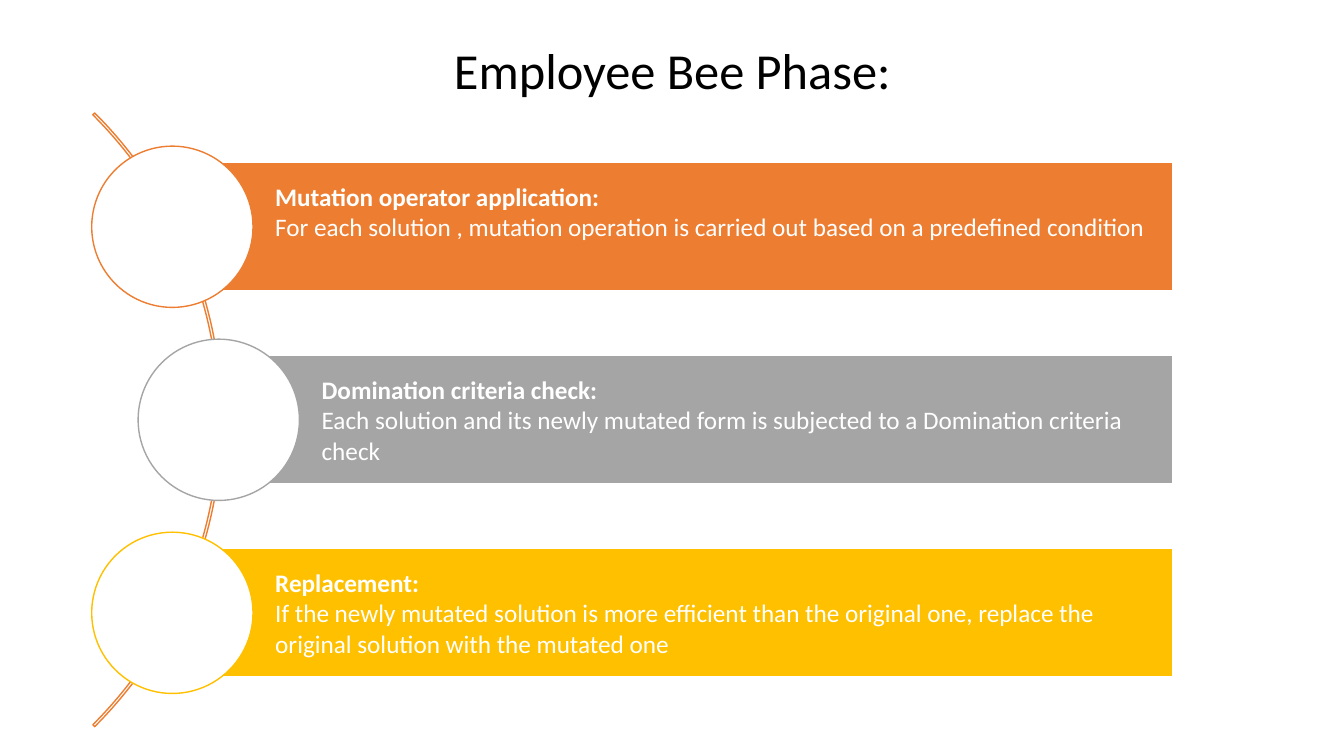
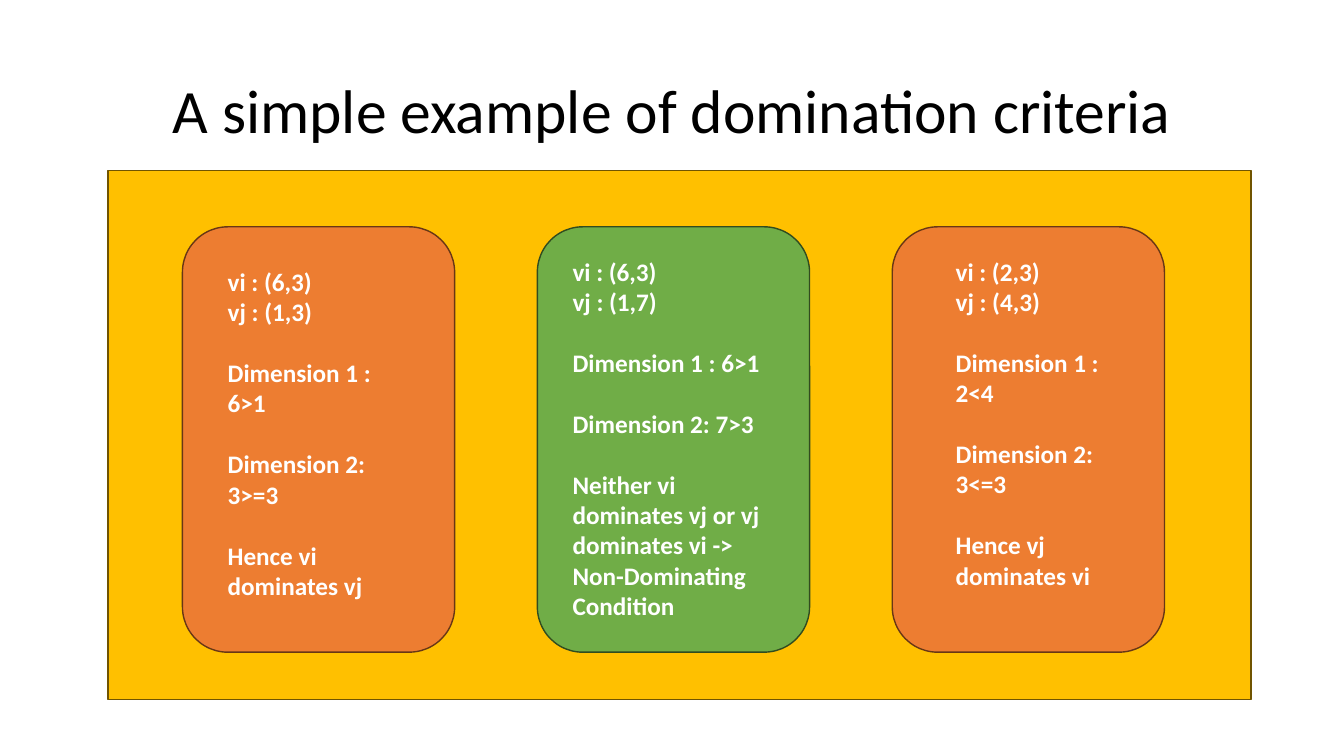
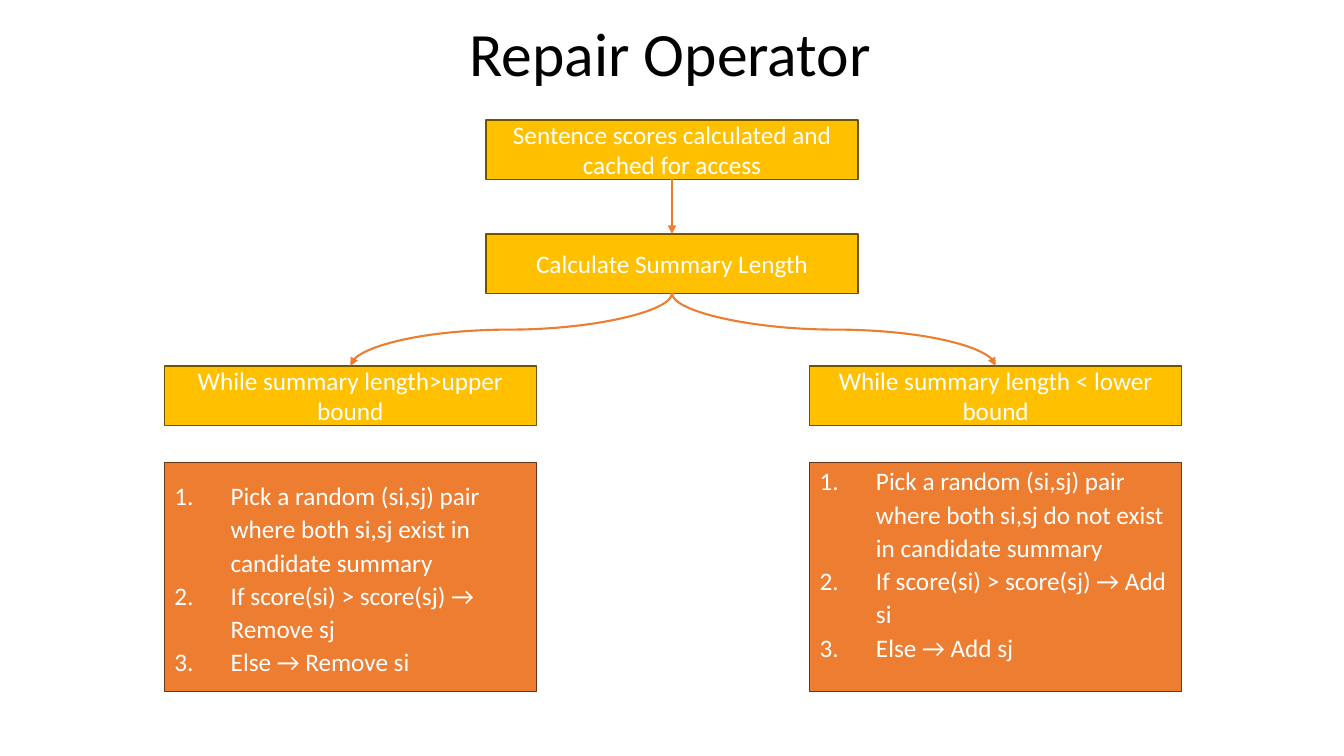
"""Build three slides on the bee phase, domination and the repair operator."""
import pptx
import pptx.dml.color
import pptx.enum.shapes
import pptx.enum.text
import pptx.oxml.ns
import pptx.util
from lxml import etree

Inches = pptx.util.Inches
Pt = pptx.util.Pt
KIND = pptx.enum.shapes.MSO_SHAPE
LINK = pptx.enum.shapes.MSO_CONNECTOR
ALIGN = pptx.enum.text.PP_ALIGN
ANCHOR = pptx.enum.text.MSO_ANCHOR
qn = pptx.oxml.ns.qn

HUES = {
    "ink": "000000", "white": "FFFFFF", "gray": "A5A5A5",
    "orange": "ED7D31", "rust": "683715",
    "gold": "FFC000", "bronze": "705400",
    "green": "70AD47", "moss": "314C1F",
}
TITLE = {"size": 44, "hue": "ink"}
BODY = {"size": 18, "hue": "white"}
BOLD = {**BODY, "bold": True}
MID = {"alignment": ALIGN.CENTER}
TIGHT = {**MID, "line_spacing": 0.9}
LOOSE = {"line_spacing": 1.1, "alignment": ALIGN.LEFT}
LEFT = {"alignment": ALIGN.LEFT}
APART = {**LEFT, "space_before": Pt(22)}


def color(name):
    return pptx.dml.color.RGBColor.from_string(HUES[name])


def apply(thing, form):
    for key, value in form.items():
        setattr(thing, key, value)


def write(shape, lines, anchor=ANCHOR.MIDDLE, inset=(0.1, 0.05, 0.1, 0.05)):
    frame = shape.text_frame
    sides = ("margin_left", "margin_top", "margin_right", "margin_bottom")
    apply(frame, {"word_wrap": True, "vertical_anchor": anchor})
    apply(frame, {side: Inches(gap) for side, gap in zip(sides, inset)})
    for rank, (text, look, form) in enumerate(lines):
        para = frame.add_paragraph() if rank else frame.paragraphs[0]
        apply(para, form)
        run = para.add_run()
        run.text = text
        apply(run.font, {"name": "Calibri", "size": Pt(look["size"]),
                         "bold": look.get("bold", False)})
        run.font.color.rgb = color(look["hue"])


def add_text(slide, box, lines, **more):
    shape = slide.shapes.add_textbox(*map(Inches, box))
    write(shape, lines, **more)


def add_title(slide, text, left, top, size=44):
    add_text(slide, (left, top, 11.5, 1.45),
             [(text, {**TITLE, "size": size}, TIGHT)])


def add_box(slide, kind, box, fill, edge, width=1):
    shape = slide.shapes.add_shape(kind, *map(Inches, box))
    shape.shadow.inherit = False
    if fill:
        shape.fill.solid()
        shape.fill.fore_color.rgb = color(fill)
    else:
        shape.fill.background()
    shape.line.color.rgb = color(edge)
    shape.line.width = Pt(width)
    return shape


def add_arrow(slide, start, end):
    (x1, y1), (x2, y2) = start, end
    if x1 == x2:
        link = slide.shapes.add_connector(
            LINK.STRAIGHT, *map(Inches, (x1, y1, x2, y2)))
    else:
        side = 1 if x2 < x1 else -1
        mid_x, mid_y = (x1 + x2) / 2, (y1 + y2) / 2
        half_w, half_h = side * (y2 - y1) / 2, abs(x2 - x1) / 2
        link = slide.shapes.add_connector(LINK.CURVE, *map(Inches, (
            mid_x - half_w, mid_y - half_h, mid_x + half_w, mid_y + half_h)))
        turn = 90 if side > 0 else 270
        link._element.spPr.find(qn("a:xfrm")).set("rot", str(turn * 60000))
    link.line.color.rgb = color("orange")
    link.line.width = Pt(1.5)
    etree.SubElement(link.line._get_or_add_ln(), qn("a:tailEnd"), type="triangle")
    etree.SubElement(link._element.spPr, qn("a:effectLst"))


def add_list(slide, box, items, **more):
    shape = add_box(slide, KIND.RECTANGLE, box, "orange", "rust")
    write(shape, [(item, BODY, LOOSE) for item in items], **more)
    for para in shape.text_frame.paragraphs:
        props = para._p.get_or_add_pPr()
        apply_dent = {"marL": Inches(0.56), "indent": -Inches(0.56)}
        for key, value in apply_dent.items():
            props.set(key, str(value))
        etree.SubElement(props, qn("a:buAutoNum"), type="arabicPeriod")


def add_band(slide, left, top, hue, head, body, foot):
    right, ring = 11.64, 1.6
    band = add_box(slide, KIND.RECTANGLE, (left, top, right - left, 1.28),
                   hue, "white", 1.5)
    write(band, [(head, BOLD, LEFT), (body, BODY, LEFT)],
          inset=(1.02, 0.05, 0.05, foot))
    add_box(slide, KIND.OVAL, (left - ring / 2, top - 0.16, ring, ring),
            "white", hue)


def add_card(slide, left, hues, box, lines):
    add_box(slide, KIND.ROUNDED_RECTANGLE, (left, 2.25, 2.7, 4.22), *hues)
    first, second, *rest = lines
    rows = [(first, BOLD, LEFT), (second, BOLD, LEFT)]
    rows += [(line, BOLD, APART) for line in rest]
    add_text(slide, box, rows, anchor=ANCHOR.TOP)


def show_phase(slide):
    add_title(slide, "Employee Bee Phase:", 0.92, 0, 36)
    arc = add_box(slide, KIND.BLOCK_ARC, (-6.41, -0.14, 8.61, 8.61),
                  None, "orange")
    for rank, value in enumerate((189, 27, 0.003)):
        arc.adjustments[rank] = value
    bands = [
        (1.71, "orange", "Mutation operator application:",
         "For each solution , mutation operation is carried out based on a "
         "predefined condition", 0.35),
        (2.17, "gray", "Domination criteria check:",
         "Each solution and its newly mutated form is subjected to a "
         "Domination criteria check", 0.05),
        (1.71, "gold", "Replacement:",
         "If the newly mutated solution is more efficient than the original "
         "one, replace the original solution with the mutated one", 0.05),
    ]
    top, last = 1.61, 5.44
    for rank, (left, *rest) in enumerate(bands):
        add_band(slide, left, top + rank * (last - top) / 2, *rest)


def show_sample(slide):
    add_title(slide, "A simple example of domination criteria", 0.92, 0.4)
    add_box(slide, KIND.RECTANGLE, (1.07, 1.69, 11.34, 5.25), "gold", "bronze")
    cards = [
        (("orange", "rust"), (2.16, 2.59, 1.66, 3.43),
         ["vi : (6,3)", "vj : (1,3)", "Dimension 1 : 6>1",
          "Dimension 2: 3>=3", "Hence vi dominates vj"]),
        (("green", "moss"), (5.58, 2.49, 2.21, 3.74),
         ["vi : (6,3)", "vj : (1,7)", "Dimension 1 : 6>1",
          "Dimension 2: 7>3", "Neither vi dominates vj or vj dominates vi -> "
          "Non-Dominating Condition"]),
        (("orange", "rust"), (9.38, 2.49, 1.66, 3.43),
         ["vi : (2,3)", "vj : (4,3)", "Dimension 1 : 2<4",
          "Dimension 2: 3<=3", "Hence vj dominates vi"]),
    ]
    for rank, card in enumerate(cards):
        add_card(slide, 1.81 + rank * 3.52, *card)


def show_repair(slide):
    add_title(slide, "Repair Operator", 0.9, -0.16)
    wide, high = 3.69, 0.59
    west, core, east = 1.63, 4.82, 8.03
    steps = [
        (core, 1.19, "Sentence scores calculated and cached for access"),
        (core, 2.32, "Calculate Summary Length"),
        (west, 3.63, "While summary length>upper bound"),
        (east, 3.63, "While summary length < lower bound"),
    ]
    for left, top, text in steps:
        step = add_box(slide, KIND.RECTANGLE, (left, top, wide, high),
                       "gold", "bronze")
        write(step, [(text, BODY, MID)])
    for source, goal in ((0, 1), (1, 2), (1, 3)):
        (x1, y1, _), (x2, y2, _) = steps[source], steps[goal]
        add_arrow(slide, (x1 + wide / 2, y1 + high), (x2 + wide / 2, y2))
    add_list(slide, (west, 4.59, wide, 2.27), [
        "Pick a random (si,sj) pair where both si,sj exist in candidate summary",
        "If score(si) > score(sj) → Remove sj",
        "Else → Remove si"])
    add_list(slide, (east, 4.59, wide, 2.27), [
        "Pick a random (si,sj) pair where both si,sj do not exist in "
        "candidate summary",
        "If score(si) > score(sj) → Add si",
        "Else → Add sj"], anchor=ANCHOR.TOP, inset=(0.1, 0, 0.1, 0.05))


def main():
    deck = pptx.Presentation()
    apply(deck, {"slide_width": Inches(13.33), "slide_height": Inches(7.5)})
    for show in (show_phase, show_sample, show_repair):
        show(deck.slides.add_slide(deck.slide_layouts[6]))
    deck.save("out.pptx")


if __name__ == "__main__":
    main()
